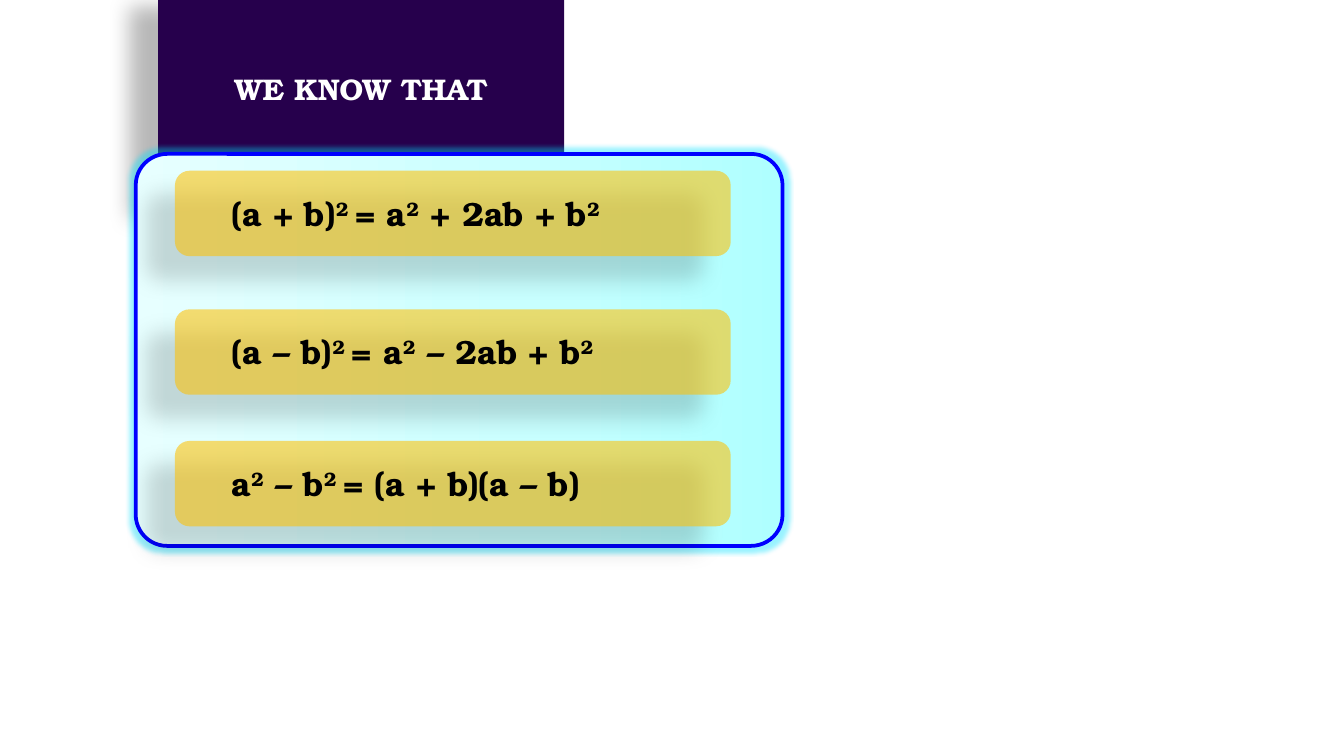
from lxml.etree import SubElement
from pptx import Presentation
from pptx.dml.color import RGBColor
from pptx.enum.shapes import MSO_SHAPE
from pptx.enum.text import MSO_ANCHOR, MSO_AUTO_SIZE, PP_ALIGN
from pptx.oxml.ns import qn
from pptx.util import Pt

PX = 9525
FONT = "TeX Gyre Bonum"
COLORS = {
    "title": "26004C", "card": "FFC000", "edge": "0000FF", "glow": "00E0FF",
    "white": "FFFFFF", "black": "000000",
    "deep": "AFFFFF", "mid": "CEFFFF", "pale": "E7FFFF",
}
CARDS = [
    (122, 332, "(a + b)^2 ^= a^2^ + 2ab + b^2"),
    (221, 356, "(a – b)^2 ^= a^2^ – 2ab + b^2"),
    (315, 324, "a^2^ – b^2 ^= (a + b)(a – b)"),
]


def color(name):
    """Return a palette colour."""
    return RGBColor.from_string(COLORS[name])


def tint(node, name, alpha=100):
    """Add a colour element with its opacity in percent."""
    clr = SubElement(node, qn("a:srgbClr"), val=COLORS[name])
    if alpha < 100:
        SubElement(clr, qn("a:alpha"), val=str(alpha * 1000))


def effect(shape, tag, name, alpha, **attrs):
    """Give a shape one visual effect."""
    shape.shadow.inherit = False
    root = shape._element.spPr.find(qn("a:effectLst"))
    tint(SubElement(root, qn(tag), **attrs), name, alpha)


def shade(shape):
    """Cast a soft shadow to the lower left."""
    effect(shape, "a:outerShdw", "black", 28, blurRad=str(Pt(11.8)),
           dist=str(Pt(19.7)), dir=str(141 * 60000), algn="ctr", rotWithShape="0")


def write(shape, text, size=18, ink="black", align=PP_ALIGN.LEFT, anchor=MSO_ANCHOR.TOP):
    """Write bold text in which carets enclose superscripts."""
    frame = shape.text_frame
    frame.word_wrap = True
    frame.auto_size = MSO_AUTO_SIZE.SHAPE_TO_FIT_TEXT
    frame.vertical_anchor = anchor
    para = frame.paragraphs[0]
    para.alignment = align
    for i, part in enumerate(text.split("^")):
        run = para.add_run()
        run.text = part
        font = run.font
        font.name, font.size, font.bold = FONT, Pt(size), True
        font.color.rgb = color(ink)
        if i % 2:
            font._element.set("baseline", "30000")


def box(slide, x, y, w, h, adj):
    """Add a rounded box."""
    shape = slide.shapes.add_shape(
        MSO_SHAPE.ROUNDED_RECTANGLE, x * PX, y * PX, w * PX, h * PX)
    shape.adjustments[0] = adj
    return shape


def panel(slide):
    """Add the glowing gradient panel."""
    shape = box(slide, 97, 110, 462, 280, 0.08)
    shape.fill.gradient()
    shape.fill.gradient_angle = 180
    stops = shape._element.spPr.find(".//" + qn("a:gsLst"))
    for stop in list(stops):
        stops.remove(stop)
    for pos, name in enumerate(("deep", "mid", "pale")):
        tint(SubElement(stops, qn("a:gs"), pos=str(pos * 50000)), name)
    shape.line.color.rgb = color("edge")
    shape.line.width = Pt(2)
    effect(shape, "a:glow", "glow", 40, rad=str(Pt(5)))


def card(slide, y, width, text):
    """Add a translucent card with its formula."""
    shape = box(slide, 125, y, 397, 61, 0.17)
    shape.fill.solid()
    shape.fill.fore_color.rgb = color("card")
    clr = shape._element.spPr.find(qn("a:solidFill"))[0]
    SubElement(clr, qn("a:alpha"), val="56000")
    shape.line.fill.background()
    shade(shape)
    label = slide.shapes.add_textbox(156 * PX, (y + 11) * PX, width * PX, 38 * PX)
    write(label, text)


def head(slide, text):
    """Shape the title placeholder as a rounded banner."""
    shape = slide.shapes.title
    shape.left, shape.top = 113 * PX, 44 * PX
    shape.width, shape.height = 290 * PX, 39 * PX
    geom = SubElement(shape._element.spPr, qn("a:prstGeom"), prst="roundRect")
    SubElement(geom, qn("a:avLst"))
    shape.fill.solid()
    shape.fill.fore_color.rgb = color("title")
    shape.line.fill.background()
    shade(shape)
    write(shape, text, size=16, ink="white", align=PP_ALIGN.CENTER, anchor=MSO_ANCHOR.MIDDLE)


def main():
    """Build the slide of identities."""
    deck = Presentation()
    deck.slide_width, deck.slide_height = 960 * PX, 540 * PX
    slide = deck.slides.add_slide(deck.slide_layouts[5])
    head(slide, "WE KNOW THAT")
    panel(slide)
    for y, width, text in CARDS:
        card(slide, y, width, text)
    deck.save("out.pptx")


if __name__ == "__main__":
    main()
